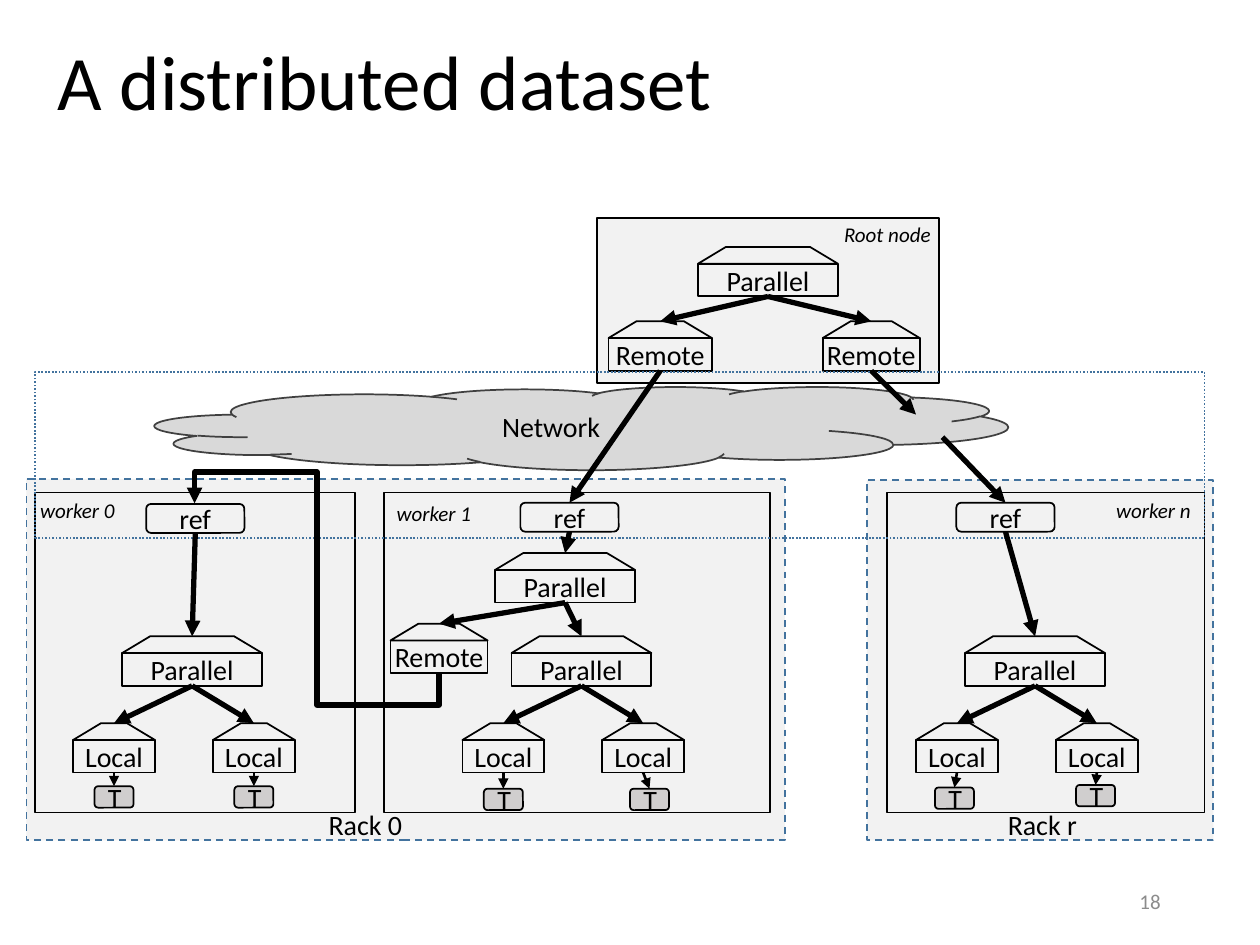
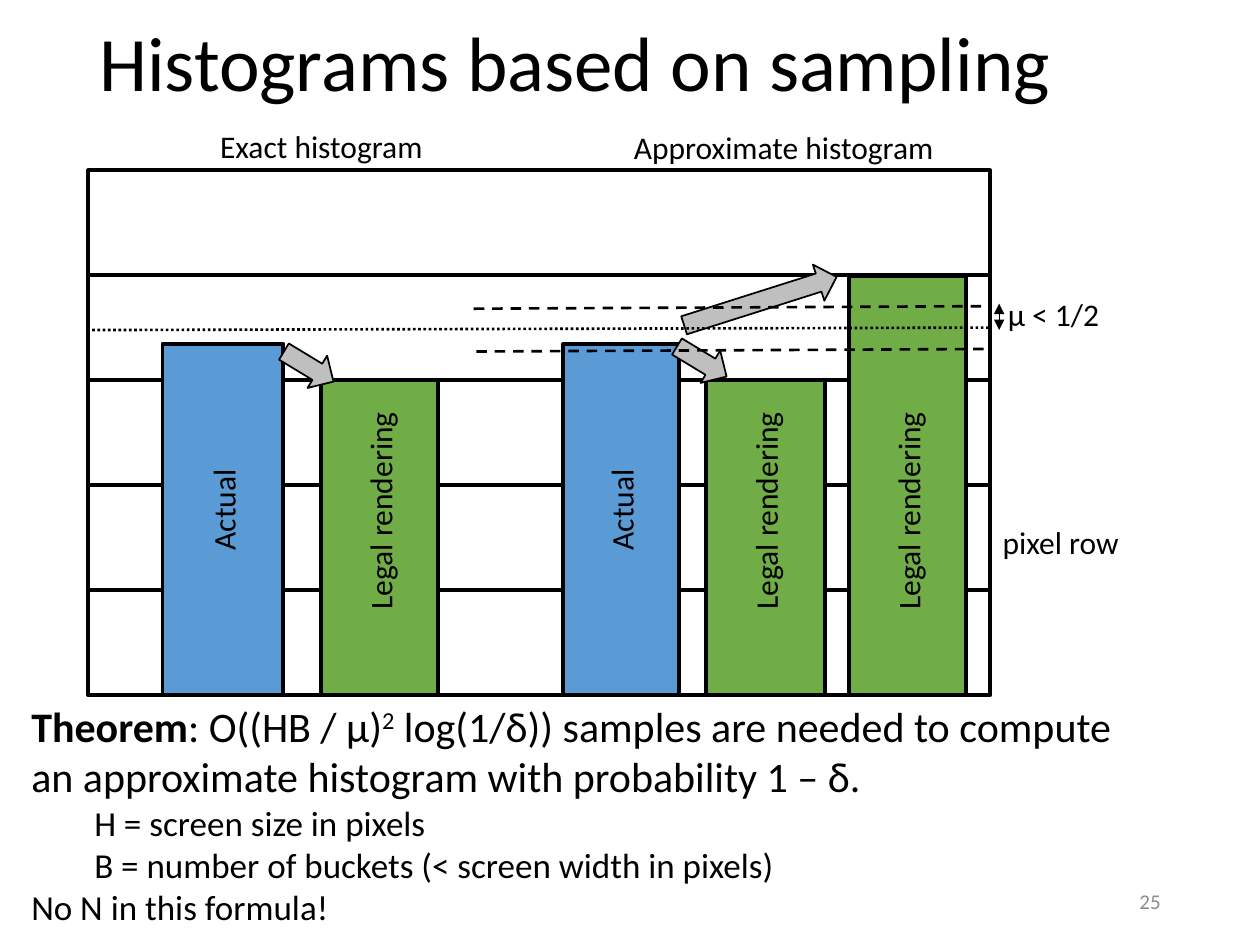
from dataclasses import dataclass
from typing import NamedTuple, Optional, Union

from lxml.etree import SubElement
from pptx import Presentation
from pptx.dml.color import RGBColor
from pptx.enum.dml import MSO_LINE as Dash
from pptx.enum.shapes import MSO_CONNECTOR as Link, MSO_SHAPE as Preset
from pptx.enum.text import MSO_ANCHOR as Anchor, MSO_AUTO_SIZE as Fit, PP_ALIGN as Align
from pptx.oxml.ns import qn
from pptx.shapes.autoshape import Shape
from pptx.shapes.connector import Connector
from pptx.slide import Slide
from pptx.util import Emu, Inches, Pt

# Grid: 100 columns by 75 rows of square cells
SLIDE_W, SLIDE_H = Inches(10), Inches(7.5)
COLUMNS, ROWS = 100, 75


@dataclass(frozen=True)
class Theme:
    font: str = "Calibri"
    ink: str = "000000"
    panel: str = "F2F2F2"
    cloud: str = "D9D9D9"
    cloud_edge: str = "404040"
    rack_edge: str = "43739E"
    table: str = "D0CECE"
    exact: str = "5B9BD5"
    rendered: str = "70AD47"
    pointer: str = "BFBFBF"
    footer: str = "8C8C8C"
    title_size: float = 44
    theorem_size: float = 24
    detail_size: float = 20
    caption_size: float = 18
    node_size: float = 16
    small_size: float = 12


THEME = Theme()


class Box(NamedTuple):
    left: float
    top: float
    width: float
    height: float


class Point(NamedTuple):
    x: float
    y: float


class Stroke(NamedTuple):
    width: float = 1
    color: str = THEME.ink
    dash: Optional[Dash] = None


class Words(NamedTuple):
    text: str
    size: float
    color: str = THEME.ink
    bold: bool = False
    italic: bool = False
    raised: bool = False


class Node(NamedTuple):
    roof: Shape
    body: Shape


class Worker(NamedTuple):
    name: str
    frame: Box
    name_at: Point
    ref_at: Point
    tree_at: Point
    tables: tuple[Point, Point]


class Bar(NamedTuple):
    label: str
    label_width: float
    left: float
    top: float
    width: float
    color: str


THIN, THICK = Stroke(), Stroke(2.25)
ARROW = Stroke(3)
TITLE_BOX_1, TITLE_BOX_2 = Box(3.6, 1.3, 64.7, 10.9), Box(6.9, 1.2, 86.2, 8.2)
NUMBER_BOX = Box(70.6, 69.5, 22.5, 4)


def col(n: float) -> Emu:
    return Emu(round(SLIDE_W * n / COLUMNS))


def row(n: float) -> Emu:
    return Emu(round(SLIDE_H * n / ROWS))


def place(box: Box) -> tuple[Emu, Emu, Emu, Emu]:
    return col(box.left), row(box.top), col(box.width), row(box.height)


# Shared drawing functions
def add_words(paragraph, words: Words) -> None:
    run = paragraph.add_run()
    run.text = words.text
    font = run.font
    font.name, font.size = THEME.font, Pt(words.size)
    font.bold, font.italic = words.bold, words.italic
    font.color.rgb = RGBColor.from_string(words.color)
    if words.raised:
        run._r.get_or_add_rPr().set("baseline", "30000")


def set_stroke(line, stroke: Stroke) -> None:
    line.color.rgb = RGBColor.from_string(stroke.color)
    line.width = Pt(stroke.width)
    if stroke.dash:
        line.dash_style = stroke.dash


def draw(slide: Slide, preset: Preset, box: Box, stroke: Stroke = THIN, fill: str = "",
         words: Optional[Words] = None, wrap: bool = True, turn: float = 0) -> Shape:
    shape = slide.shapes.add_shape(preset, *place(box))
    shape.shadow.inherit = False
    shape.rotation = turn
    if fill:
        shape.fill.solid()
        shape.fill.fore_color.rgb = RGBColor.from_string(fill)
    else:
        shape.fill.background()
    set_stroke(shape.line, stroke)
    if words:
        frame = shape.text_frame
        frame.word_wrap, frame.vertical_anchor = wrap, Anchor.MIDDLE
        frame.paragraphs[0].alignment = Align.CENTER
        add_words(frame.paragraphs[0], words)
    return shape


def caption(slide: Slide, box: Box, words: Words, align: Align = Align.LEFT,
            turn: float = 0) -> None:
    label = slide.shapes.add_textbox(*place(box))
    label.rotation = turn
    frame = label.text_frame
    frame.word_wrap, frame.auto_size = False, Fit.SHAPE_TO_FIT_TEXT
    frame.paragraphs[0].alignment = align
    add_words(frame.paragraphs[0], words)


def finish(link: Connector, stroke: Stroke, heads: tuple[str, ...]) -> None:
    set_stroke(link.line, stroke)
    properties = link._element.spPr
    for head in heads:
        SubElement(properties.find(qn("a:ln")), qn(f"a:{head}"), type="triangle")
    SubElement(properties, qn("a:effectLst"))


def connect(slide: Slide, start: Union[Shape, Point], end: Union[Shape, Point],
            stroke: Stroke = ARROW, heads: tuple[str, ...] = ("tailEnd",)) -> None:
    """Line from the bottom of one shape to the top of another, or between points."""
    ends = [(col(e.x), row(e.y)) if isinstance(e, Point) else (0, 0) for e in (start, end)]
    link = slide.shapes.add_connector(Link.STRAIGHT, *ends[0], *ends[1])
    if not isinstance(start, Point):
        link.begin_connect(start, 2)
    if not isinstance(end, Point):
        link.end_connect(end, 0)
    finish(link, stroke, heads)


def start_slide(deck, title: str, title_box: Box, number: str) -> Slide:
    slide = deck.slides.add_slide(deck.slide_layouts[6])
    for box, words, align in (
        (title_box, Words(title, THEME.title_size), Align.LEFT),
        (NUMBER_BOX, Words(number, THEME.small_size, THEME.footer), Align.RIGHT),
    ):
        frame = slide.shapes.add_textbox(*place(box)).text_frame
        frame.word_wrap, frame.vertical_anchor = True, Anchor.MIDDLE
        frame.paragraphs[0].alignment = align
        if box is title_box:
            frame.paragraphs[0].line_spacing = 0.9
        add_words(frame.paragraphs[0], words)
    return slide


# Slide: distributed dataset
ROOF, BODY = 1.33, 2.6
NODE_WIDTH = {"Parallel": 11.1, "Remote": 7.7, "Local": 6.5}
LOCAL_OFFSETS, LOCAL_DROP = (-3.9, 7.2), 6.9
WORKERS = (
    Worker("worker 0", Box(2.8, 39.1, 25.4, 25.4), Point(2.2, 39), Point(11.6, 40),
           Point(9.7, 50.5), (Point(7.5, 62.4), Point(18.6, 62.4))),
    Worker("worker 1", Box(30.5, 39.1, 30.6, 25.4), Point(30.5, 39.2), Point(41.3, 39.9),
           Point(40.6, 50.5), (Point(38.4, 62.6), Point(50, 62.6))),
    Worker("worker n", Box(70.4, 39.1, 25.2, 25.4), Point(87.6, 39), Point(75.9, 39.9),
           Point(76.6, 50.5), (Point(74.2, 62.5), Point(85.4, 62.3))),
)


def node(slide: Slide, label: str, left: float, top: float, width: float = 0) -> Node:
    width = width or NODE_WIDTH[label]
    roof = draw(slide, Preset.TRAPEZOID, Box(left, top, width, ROOF))
    roof.adjustments[0] = 1.667
    body = draw(slide, Preset.RECTANGLE, Box(left, top + ROOF, width, BODY),
                words=Words(label, THEME.node_size), wrap=False)
    return Node(roof, body)


def draw_worker(slide: Slide, worker: Worker) -> tuple[Shape, Node]:
    draw(slide, Preset.RECTANGLE, worker.frame)
    ref = draw(slide, Preset.ROUNDED_RECTANGLE, Box(*worker.ref_at, 7.8, 2.3),
               words=Words("ref", THEME.node_size))
    x, y = worker.tree_at
    parallel = node(slide, "Parallel", x, y)
    for offset, table_at in zip(LOCAL_OFFSETS, worker.tables):
        local = node(slide, "Local", x + offset, y + LOCAL_DROP)
        table = draw(slide, Preset.ROUNDED_RECTANGLE, Box(*table_at, 3.1, 1.7),
                     fill=THEME.table, words=Words("T", THEME.node_size))
        connect(slide, parallel.body, local.roof)
        connect(slide, local.body, table, Stroke(1.5))
    caption(slide, Box(*worker.name_at, 8.1, 3),
            Words(worker.name, THEME.small_size, italic=True))
    return ref, parallel


def loop_back(slide: Slide) -> None:
    """Five-part elbow from worker 1's remote to worker 0's reference."""
    link = slide.shapes.add_connector(Link.ELBOW, col(31.9), row(37), col(18.4), row(56.4))
    properties = link._element.spPr
    properties.find(qn("a:xfrm")).set("rot", str(90 * 60000))
    geometry = properties.find(qn("a:prstGeom"))
    geometry.set("prst", "bentConnector5")
    for index, share in enumerate((-18500, 49900, 118500), start=1):
        SubElement(geometry.find(qn("a:avLst")), qn("a:gd"),
                   name=f"adj{index}", fmla=f"val {share}")
    finish(link, ARROW, ("tailEnd",))


def dataset_slide(deck) -> None:
    slide = start_slide(deck, "A distributed dataset", TITLE_BOX_1, "18")

    # Root, racks and network
    draw(slide, Preset.RECTANGLE, Box(47.4, 17.3, 27.1, 13.1), fill=THEME.panel)
    rack_edge = Stroke(1, THEME.rack_edge, Dash.DASH)
    for rack in (Box(68.8, 38.1, 27.5, 28.6), Box(2.1, 38, 60.2, 28.7)):
        draw(slide, Preset.RECTANGLE, rack, rack_edge, THEME.panel)
    draw(slide, Preset.CLOUD, Box(12.3, 30.7, 67.7, 6.6), Stroke(1, THEME.cloud_edge),
         THEME.cloud, Words("Network", THEME.node_size))

    # Workers and root tree
    (ref_0, tree_0), (ref_1, tree_1), (ref_n, tree_n) = [
        draw_worker(slide, worker) for worker in WORKERS]
    root = node(slide, "Parallel", 55.4, 19.6)
    near = node(slide, "Remote", 48.3, 25.5, 8.2)
    far = node(slide, "Remote", 65.3, 25.5)
    inner = node(slide, "Parallel", 39.3, 43.9)
    remote = node(slide, "Remote", 31, 49.5)
    draw(slide, Preset.RECTANGLE, Box(2.8, 29.5, 92.8, 13.2),
         Stroke(1, THEME.rack_edge, Dash.ROUND_DOT))

    # References between nodes
    for start, end in (
        (root.body, near.roof), (root.body, far.roof),
        (near.body, ref_1), (far.body, Point(72.7, 32.9)), (Point(74.8, 34.7), ref_n),
        (ref_0, tree_0.roof), (ref_1, inner.roof), (ref_n, tree_n.roof),
        (inner.body, tree_1.roof), (inner.body, remote.roof),
    ):
        connect(slide, start, end)
    loop_back(slide)

    # Names
    caption(slide, Box(66, 17.1, 9.1, 3), Words("Root node", THEME.small_size, italic=True))
    for name, left, width in (("Rack 0", 25.1, 7.9), ("Rack r", 79, 7.6)):
        caption(slide, Box(left, 63.6, width, 3.7), Words(name, THEME.node_size))


# Slide: sampled histograms
PLOT_LEFT, PLOT_TOP, PLOT_WIDTH = 7, 13.53, 71.6
PIXEL_ROWS, PIXEL_ROW = 5, 8.33
BASELINE = PLOT_TOP + PIXEL_ROWS * PIXEL_ROW
BARS = (
    Bar("Actual", 8.5, 12.9, 27.3, 9.6, THEME.exact),
    Bar("Legal rendering", 17.9, 25.5, 30.2, 9.3, THEME.rendered),
    Bar("Actual", 8.5, 44.7, 27.3, 9.2, THEME.exact),
    Bar("Legal rendering", 17.9, 56, 30.2, 9.5, THEME.rendered),
    Bar("Legal rendering", 17.9, 67.4, 21.9, 9.3, THEME.rendered),
)
THEOREM = (
    (0, (Words("Theorem", THEME.theorem_size, bold=True),
         Words(": O((HB / μ)", THEME.theorem_size),
         Words("2", THEME.theorem_size, raised=True),
         Words(" log(1/δ)) samples are needed to compute", THEME.theorem_size),
         None,
         Words("an approximate histogram with probability 1 – δ.", THEME.theorem_size))),
    (5, (Words("H = screen size in pixels", THEME.detail_size),)),
    (5, (Words("B = number of buckets (< screen width in pixels)", THEME.detail_size),)),
    (0, (Words("No N in this formula!", THEME.detail_size),)),
)


def histogram_slide(deck) -> None:
    slide = start_slide(deck, "Histograms based on sampling", TITLE_BOX_2, "25")

    # Pixel rows and bars
    for index in range(PIXEL_ROWS):
        draw(slide, Preset.RECTANGLE,
             Box(PLOT_LEFT, PLOT_TOP + index * PIXEL_ROW, PLOT_WIDTH, PIXEL_ROW), THICK)
    for bar in BARS:
        draw(slide, Preset.RECTANGLE, Box(bar.left, bar.top, bar.width, BASELINE - bar.top),
             THICK, bar.color)
        label_left = bar.left + (bar.width - bar.label_width) / 2
        caption(slide, Box(label_left, 38.4, bar.label_width, 4),
                Words(bar.label, THEME.caption_size), turn=270)

    # Rounding arrows and error band
    for box, turn in ((Box(22.2, 27.6, 4.6, 3), 31.2), (Box(53.4, 27.2, 4.6, 3), 31.2),
                      (Box(54, 22.4, 12.7, 3), 342.4)):
        draw(slide, Preset.RIGHT_ARROW, box, fill=THEME.pointer, turn=turn)
    for start, end, dash in (
        (Point(37.6, 24.5), Point(78.2, 24.3), Dash.DASH),
        (Point(37.8, 27.9), Point(78.3, 27.7), Dash.DASH),
        (Point(6.9, 26.2), Point(78.6, 26), Dash.ROUND_DOT),
    ):
        connect(slide, start, end, Stroke(1.5, dash=dash), ())
    connect(slide, Point(79.3, 24.1), Point(79.3, 26.2), Stroke(0.5), ("headEnd", "tailEnd"))

    # Captions
    for text, box, align in (
        ("Exact histogram", Box(16.4, 9.6, 18.2, 4), Align.CENTER),
        ("Approximate histogram", Box(49.2, 9.7, 26, 4), Align.CENTER),
        ("pixel row", Box(78.6, 41, 11.3, 4), Align.LEFT),
        ("μ < 1/2", Box(79, 22.9, 9.4, 4), Align.LEFT),
    ):
        caption(slide, box, Words(text, THEME.caption_size), align)

    # Theorem
    frame = slide.shapes.add_textbox(*place(Box(1.5, 55.1, 88.7, 19.2))).text_frame
    frame.word_wrap, frame.auto_size = False, Fit.SHAPE_TO_FIT_TEXT
    for index, (indent, parts) in enumerate(THEOREM):
        paragraph = frame.add_paragraph() if index else frame.paragraphs[0]
        paragraph._p.get_or_add_pPr().set("marL", str(col(indent)))
        for words in parts:
            if words:
                add_words(paragraph, words)
            else:
                paragraph.add_line_break()


def main() -> None:
    deck = Presentation()
    deck.slide_width, deck.slide_height = SLIDE_W, SLIDE_H
    dataset_slide(deck)
    histogram_slide(deck)
    deck.save("out.pptx")


if __name__ == "__main__":
    main()
